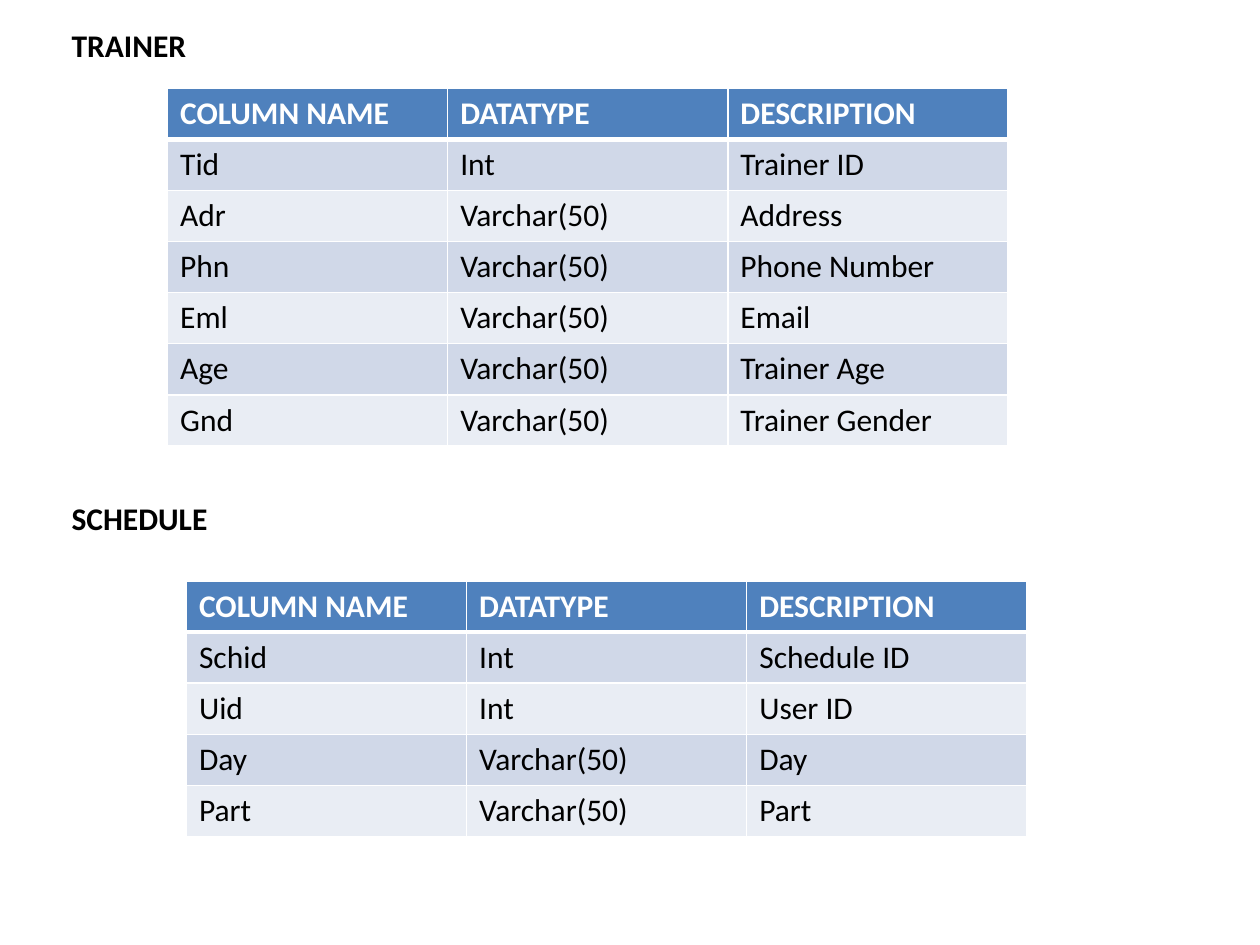
from lxml import etree
from pptx import Presentation
from pptx.dml.color import RGBColor
from pptx.enum.text import MSO_AUTO_SIZE
from pptx.oxml.ns import qn
from pptx.util import Inches, Pt

FIT_SHAPE = MSO_AUTO_SIZE.SHAPE_TO_FIT_TEXT
FONT = "Calibri"
COLORS = {
    "header": "4F81BD",
    "odd": "D0D8E8",
    "even": "E9EDF4",
    "white": "FFFFFF",
    "black": "000000",
}
HEADINGS = ("COLUMN NAME", "DATATYPE", "DESCRIPTION")
TRAINER = [
    ("Tid", "Int", "Trainer ID"),
    ("Adr", "Varchar(50)", "Address"),
    ("Phn", "Varchar(50)", "Phone Number"),
    ("Eml", "Varchar(50)", "Email"),
    ("Age", "Varchar(50)", "Trainer Age"),
    ("Gnd", "Varchar(50)", "Trainer Gender"),
]
SCHEDULE = [
    ("Schid", "Int", "Schedule ID"),
    ("Uid", "Int", "User ID"),
    ("Day", "Varchar(50)", "Day"),
    ("Part", "Varchar(50)", "Part"),
]


def rgb(name):
    return RGBColor.from_string(COLORS[name])


def format_text(tf, color, bold):
    for r in tf.paragraphs[0].runs:
        r.font.name = FONT
        r.font.size = Pt(18)
        r.font.bold = bold
        r.font.color.rgb = rgb(color)


def add_borders(cell, top, bottom):
    """Draw white cell borders; top and bottom are widths in points."""
    tc_pr = cell._tc.get_or_add_tcPr()
    for tag, width in (("lnL", 1), ("lnR", 1), ("lnT", top), ("lnB", bottom)):
        ln = etree.SubElement(tc_pr, qn(f"a:{tag}"), w=str(Pt(width)))
        fill = etree.SubElement(ln, qn("a:solidFill"))
        etree.SubElement(fill, qn("a:srgbClr"), val=COLORS["white"])


def add_heading(s, text, left, top, width, height):
    tf = s.shapes.add_textbox(left, top, width, height).text_frame
    tf.word_wrap = True
    tf.auto_size = FIT_SHAPE
    tf.text = text
    format_text(tf, "black", True)


def add_column_table(s, records, left, top, width, height):
    rows = [HEADINGS, *records]
    table = s.shapes.add_table(
        len(rows), len(HEADINGS), left, top, width, height).table
    for i, values in enumerate(rows):
        is_header = i == 0
        fill = "header" if is_header else "odd" if i % 2 else "even"
        for j, value in enumerate(values):
            cell = table.cell(i, j)
            cell.text = value
            format_text(cell.text_frame, "white" if is_header else "black",
                        is_header)
            add_borders(cell, 3 if i == 1 else 1, 3 if is_header else 1)
            cell.fill.solid()
            cell.fill.fore_color.rgb = rgb(fill)


def main():
    prs = Presentation()
    prs.slide_width, prs.slide_height = Inches(10), Inches(7.5)
    s = prs.slides.add_slide(prs.slide_layouts[6])
    add_column_table(s, TRAINER, Inches(1.33), Inches(0.7),
                     Inches(6.67), Inches(2.84))
    add_column_table(s, SCHEDULE, Inches(1.48), Inches(4.61),
                     Inches(6.67), Inches(2.03))
    add_heading(s, "TRAINER", Inches(0.47), Inches(0.16),
                Inches(1.8), Inches(0.4))
    add_heading(s, "SCHEDULE", Inches(0.47), Inches(3.91),
                Inches(2.03), Inches(0.4))
    prs.save("out.pptx")


if __name__ == "__main__":
    main()
